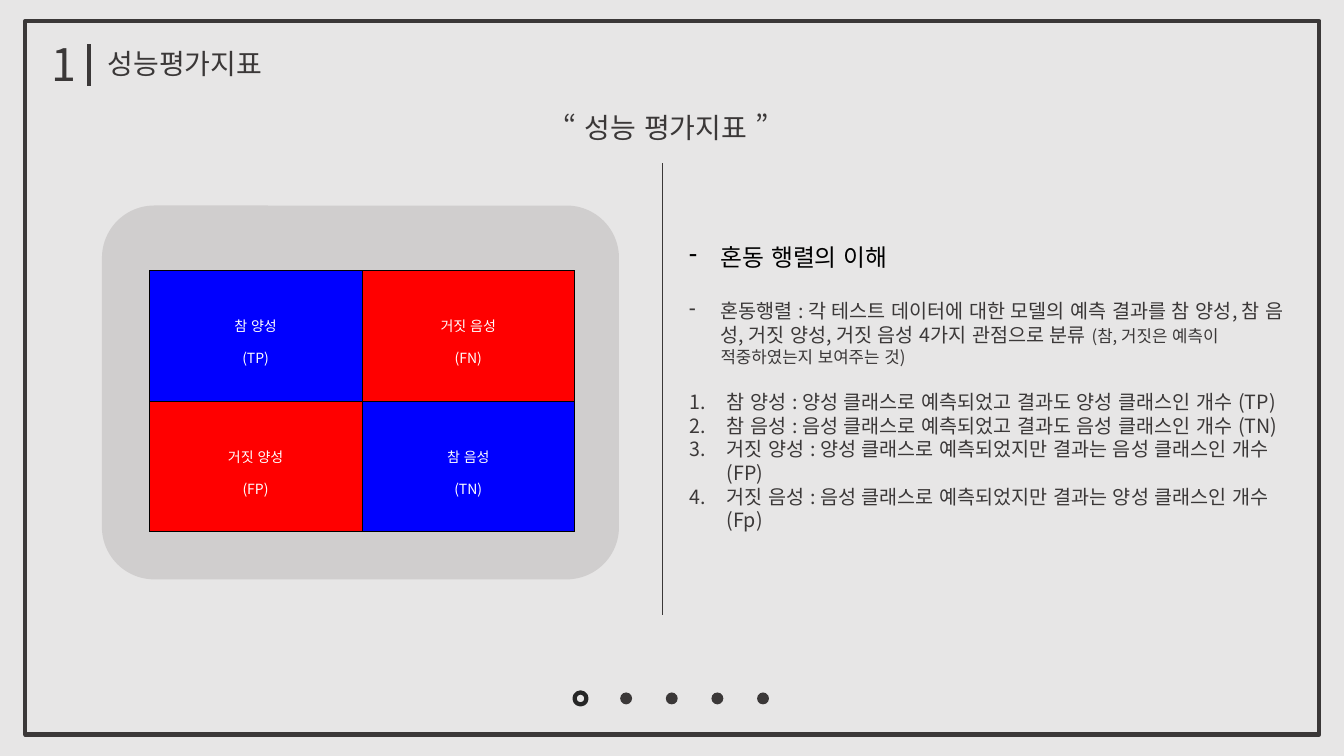
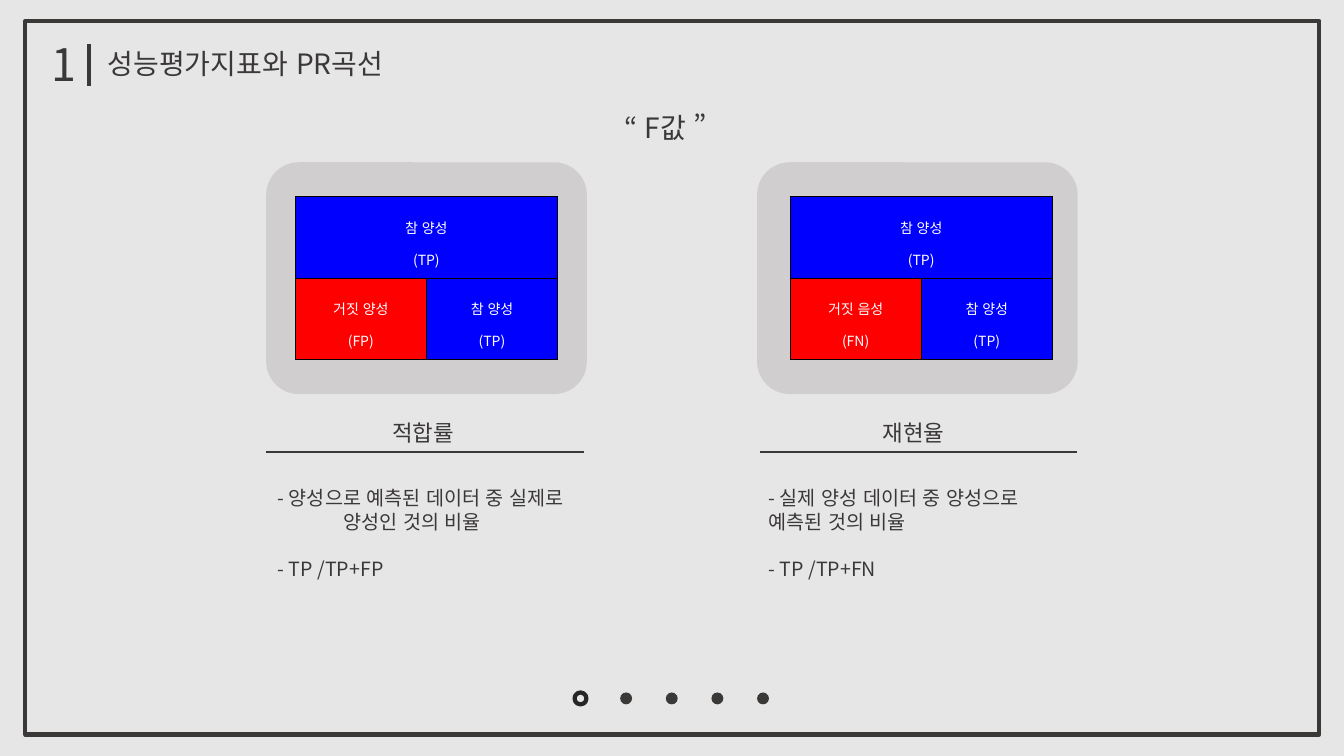
from dataclasses import dataclass

from lxml.etree import SubElement as Sub
from pptx import Presentation
from pptx.dml.color import RGBColor as Rgb
from pptx.enum.lang import MSO_LANGUAGE_ID as Lang
from pptx.enum.shapes import MSO_CONNECTOR as Link, MSO_SHAPE as Kind
from pptx.enum.text import MSO_ANCHOR as Anchor, MSO_AUTO_SIZE as Auto, PP_ALIGN as Align
from pptx.oxml.ns import qn
from pptx.util import Cm, Pt


@dataclass(frozen=True)
class Theme:
    font: str = "Noto Sans CJK KR"
    back: str = "E7E6E6"
    ink: str = "3B3838"
    ring: str = "262626"
    panel: str = "D0CECE"
    black: str = "000000"
    white: str = "FFFFFF"
    true: str = "0000FF"
    false: str = "FF0000"
    number: int = 32
    title: int = 20
    lead: int = 17
    label: int = 16
    body: int = 14
    note: int = 12
    cell: int = 10
    bold: float = 3
    thin: float = 1
    hair: float = 0.28


T = Theme()

# Table cells: two lines of text and a fill
TP = ("참 양성\n(TP)", T.true)
TN = ("참 음성\n(TN)", T.true)
FP = ("거짓 양성\n(FP)", T.false)
FN = ("거짓 음성\n(FN)", T.false)

COUNTS = (
    "참 양성 : 양성 클래스로 예측되었고 결과도 양성 클래스인 개수 (TP)",
    "참 음성 : 음성 클래스로 예측되었고 결과도 음성 클래스인 개수 (TN)",
    "거짓 양성 : 양성 클래스로 예측되었지만 결과는 음성 클래스인 개수 (FP)",
    "거짓 음성 : 음성 클래스로 예측되었지만 결과는 양성 클래스인 개수 (Fp)",
)


# Text
def style(para, size, color=T.ink):
    for run in para.runs:
        font = run.font
        font.name, font.size = T.font, Pt(size)
        font.language_id = Lang.KOREAN
        font.color.rgb = Rgb.from_string(color)
        props = run._r.get_or_add_rPr()
        if props.find(qn("a:ea")) is None:
            Sub(props, qn("a:ea"), typeface=T.font)


def write(slide, box, text, size, align=Align.LEFT):
    frame = slide.shapes.add_textbox(*map(Cm, box)).text_frame
    frame.word_wrap = True
    frame.auto_size = Auto.SHAPE_TO_FIT_TEXT
    frame.text = text
    for para in frame.paragraphs:
        para.alignment = align
        # Keep punctuation inside the box
        para._p.get_or_add_pPr().set("hangingPunct", "0")
        style(para, size)
    return frame.paragraphs


def hang(para, depth):
    props = para._p.get_or_add_pPr()
    props.set("marL", str(Cm(depth)))
    props.set("indent", str(-Cm(depth)))
    return props


def dash(para):
    Sub(hang(para, 0.79), qn("a:buChar"), char="-")


def count(para):
    Sub(hang(para, 0.95), qn("a:buAutoNum"), type="arabicPeriod")


# Shapes and lines
def shape(shapes, kind, box, fill=None, line=None):
    item = shapes.add_shape(kind, *map(Cm, box))
    item.shadow.inherit = False
    if fill:
        item.fill.solid()
        item.fill.fore_color.rgb = Rgb.from_string(fill)
    else:
        item.fill.background()
    if line:
        item.line.color.rgb = Rgb.from_string(line)
        item.line.width = Pt(T.bold)
    else:
        item.line.fill.background()
    return item


def rule(slide, start, end, width=T.thin):
    line = slide.shapes.add_connector(Link.STRAIGHT, *map(Cm, start + end))
    line.line.color.rgb = Rgb.from_string(T.ink)
    line.line.width = Pt(width)
    Sub(line._element.spPr, qn("a:effectLst"))


def panel(slide, box):
    shape(slide.shapes, Kind.ROUNDED_RECTANGLE, box, T.panel).adjustments[0] = 0.14


# Matrix table
def edge(cell):
    props = cell._tc.get_or_add_tcPr()
    for side in ("lnL", "lnR", "lnT", "lnB"):
        line = Sub(props, qn(f"a:{side}"), w=str(Pt(T.hair)))
        Sub(Sub(line, qn("a:solidFill")), qn("a:srgbClr"), val=T.black)


def paint(cell, text, color):
    cell.text = text
    cell.vertical_anchor = Anchor.MIDDLE
    cell.margin_left = cell.margin_right = Cm(0.18)
    cell.margin_top = cell.margin_bottom = Cm(0.05)
    for para in cell.text_frame.paragraphs:
        para.alignment = Align.CENTER
        para.line_spacing = 1.6
        style(para, T.cell, T.white)
    edge(cell)
    cell.fill.solid()
    cell.fill.fore_color.rgb = Rgb.from_string(color)


def matrix(slide, box, rows):
    """Two by two grid; a row with one entry spans both columns."""
    grid = slide.shapes.add_table(2, 2, *map(Cm, box)).table
    grid.first_row = grid.horz_banding = False
    for i, row in enumerate(rows):
        if len(row) == 1:
            grid.cell(i, 0).merge(grid.cell(i, 1))
            edge(grid.cell(i, 1))
        for j, (text, color) in enumerate(row):
            paint(grid.cell(i, j), text, color)


# Parts both slides share
def dots(slide):
    group = slide.shapes.add_group_shape()
    for i in range(5):
        look = {"fill": T.ink} if i else {"line": T.ring}
        shape(group.shapes, Kind.OVAL, (14.48 + 1.15 * i, 17.45, 0.3, 0.3), **look)


def start(deck, title, head):
    slide = deck.slides.add_slide(deck.slide_layouts[6])
    slide.background.fill.solid()
    slide.background.fill.fore_color.rgb = Rgb.from_string(T.back)
    shape(slide.shapes, Kind.RECTANGLE, (0.64, 0.53, 32.61, 17.98), line=T.ink)
    write(slide, (1.04, 0.79, 1.42, 1.63), "1", T.number)
    rule(slide, (2.25, 1.12), (2.25, 2.16), T.bold)
    write(slide, (2.46, 1.04, 12.09, 1.12), title, T.title)
    write(slide, (13, 2.67, 7.57, 1.12), head, T.title, Align.CENTER)
    dots(slide)
    return slide


# Slide 1: confusion matrix and its reading
def explain(slide):
    text = "\n".join((
        "혼동 행렬의 이해",
        "혼동행렬 : 각 테스트 데이터에 대한 모델의 예측 결과를 참 양성, 참 음성, "
        "거짓 양성, 거짓 음성 4가지 관점으로 분류 ",
        *COUNTS,
    ))
    lead, about, *items = write(slide, (17.12, 5.99, 16, 7.62), text, T.body)
    style(lead, T.lead, T.black)
    lead.space_after = Pt(20)
    about.space_after = Pt(17)
    note = about.add_run()
    note.text = "(참, 거짓은 예측이 적중하였는지 보여주는 것)"
    style(about, T.body)
    note.font.size = Pt(T.note)
    for para in (lead, about):
        dash(para)
    for para in items:
        count(para)


# Slide 2: one rate with its panel, matrix and formula
def rate(slide, left, inset, name, rows, text):
    panel(slide, (left, 4.09, 8.08, 5.84))
    matrix(slide, (left + inset, 4.95, 6.61, 4.1), rows)
    write(slide, (left + 2.92, 10.44, 2.24, 0.94), name, T.label)
    first, _ = write(slide, (left + 0.04, 12.12, 8.05, 2.64), text, T.body)
    first.space_after = Pt(17)
    return first


def main():
    deck = Presentation()
    deck.slide_width, deck.slide_height = Cm(33.87), Cm(19.05)

    slide = start(deck, "성능평가지표", "“ 성능 평가지표 ”")
    rule(slide, (16.69, 4.11), (16.69, 15.49))
    panel(slide, (2.57, 5.18, 13.03, 9.42))
    matrix(slide, (3.76, 6.81, 10.72, 6.58), ((TP, FN), (FP, TN)))
    explain(slide)

    slide = start(deck, "성능평가지표와 PR곡선", "“ F값 ”")
    first = rate(slide, 6.71, 0.73, "적합률", ((TP,), (FP, TP)),
                 "- 양성으로 예측된 데이터 중 실제로 양성인 것의 비율\n- TP /TP+FP")
    hang(first, 1.66)
    rate(slide, 19.08, 0.83, "재현율", ((TP,), (FN, TP)),
         "- 실제 양성 데이터 중 양성으로 예측된 것의 비율\n- TP /TP+FN")
    for left in (6.71, 19.15):
        rule(slide, (left, 11.39), (left + 8, 11.39))

    deck.save("out.pptx")


main()
